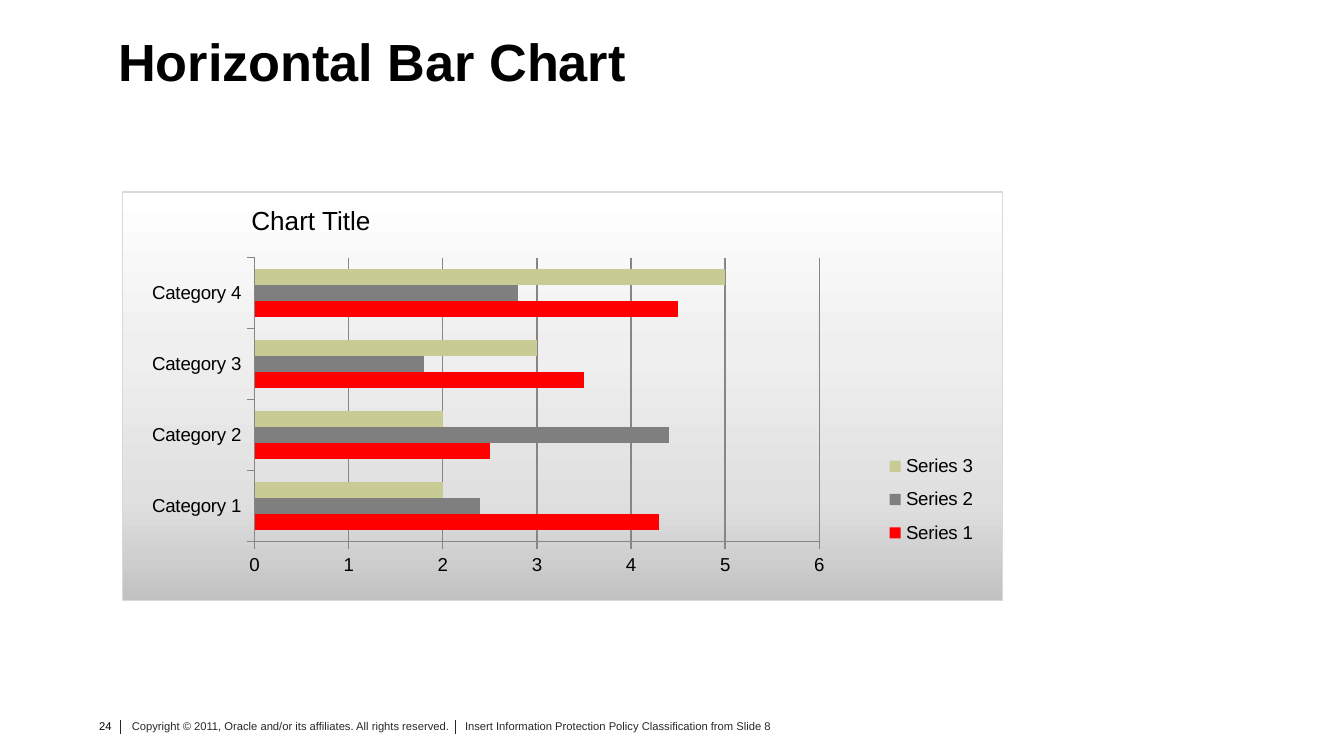
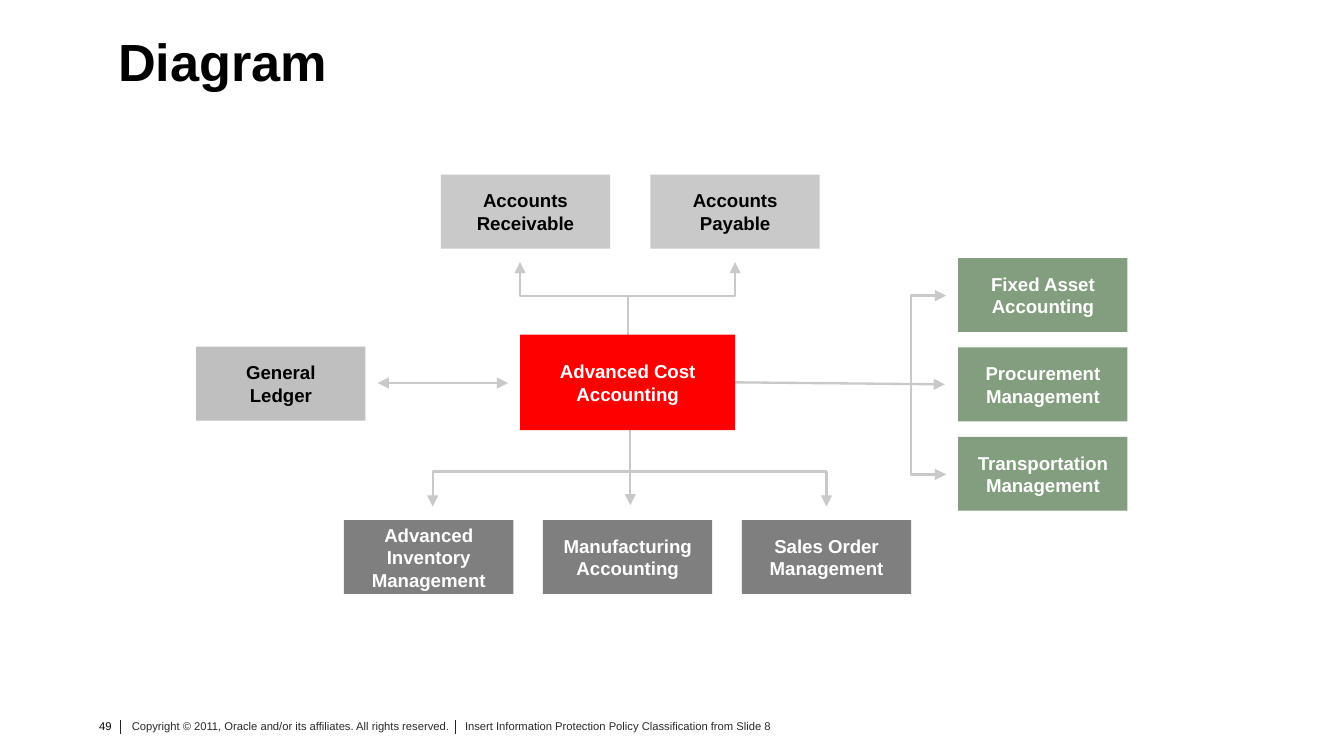
"""Builds a bar chart slide and an accounting diagram slide."""
from copy import deepcopy
from dataclasses import dataclass

from lxml import etree
from pptx import Presentation
from pptx.chart.data import CategoryChartData
from pptx.dml.color import RGBColor
from pptx.enum.chart import XL_CHART_TYPE, XL_LEGEND_POSITION, XL_TICK_MARK
from pptx.enum.shapes import MSO_CONNECTOR, MSO_SHAPE
from pptx.enum.text import MSO_ANCHOR, MSO_AUTO_SIZE, PP_ALIGN
from pptx.oxml import parse_xml
from pptx.oxml.ns import nsdecls, qn
from pptx.util import Inches, Pt

LEFT, CENTER, RIGHT = PP_ALIGN.LEFT, PP_ALIGN.CENTER, PP_ALIGN.RIGHT
TOP, MIDDLE = MSO_ANCHOR.TOP, MSO_ANCHOR.MIDDLE
NO_FIT = MSO_AUTO_SIZE.NONE
RECT, STRAIGHT = MSO_SHAPE.RECTANGLE, MSO_CONNECTOR.STRAIGHT
BAR_CLUSTERED = XL_CHART_TYPE.BAR_CLUSTERED
LEGEND_RIGHT = XL_LEGEND_POSITION.RIGHT
TICK_OUT = XL_TICK_MARK.OUTSIDE

BLACK = RGBColor(0x00, 0x00, 0x00)
WHITE = RGBColor(0xFF, 0xFF, 0xFF)
RED = RGBColor(0xFF, 0x00, 0x00)
GRAY = RGBColor(0x7F, 0x7F, 0x7F)
AXIS_GRAY = RGBColor(0x86, 0x86, 0x86)
SILVER = RGBColor(0xBF, 0xBF, 0xBF)
LIGHT_GRAY = RGBColor(0xC9, 0xC9, 0xC9)
PANEL_EDGE = RGBColor(0xD9, 0xD9, 0xD9)
GREEN = RGBColor(0x82, 0x9E, 0x7E)
KHAKI = RGBColor(0xC8, 0xCC, 0x94)
FOOTER_INK = RGBColor(0x29, 0x29, 0x29)
FOOTER_RULE = RGBColor(0x26, 0x26, 0x26)
PANEL_STOPS = (
    (0, RGBColor(0xC2, 0xC2, 0xC2)),
    (0.25, RGBColor(0xE0, 0xE0, 0xE0)),
    (0.61, RGBColor(0xEF, 0xEF, 0xEF)),
    (1, WHITE),
)
FONT = "Arial"
BOX_W, BOX_H = 1.26, 0.55

CATEGORIES = [f"Category {n}" for n in range(1, 5)]
SERIES = (
    ("Series 1", (4.3, 2.5, 3.5, 4.5), RED),
    ("Series 2", (2.4, 4.4, 1.8, 2.8), GRAY),
    ("Series 3", (2, 2, 3, 5), KHAKI),
)


@dataclass(frozen=True)
class Label:
    """Text with its place and style."""
    text: str
    left: float
    top: float
    width: float
    height: float
    size: float
    color: RGBColor = BLACK
    align: PP_ALIGN = LEFT
    inset: tuple[float, float] = (0.05, 0.05)


@dataclass(frozen=True)
class Box:
    """A filled rectangle of the diagram."""
    text: str
    left: float
    top: float
    fill: RGBColor
    ink: RGBColor
    width: float = BOX_W
    height: float = BOX_H


@dataclass(frozen=True)
class Line:
    """A straight line or a bent one, with optional arrowheads."""
    points: tuple[tuple[float, float], ...]
    color: RGBColor = LIGHT_GRAY
    width: float = 1.25
    head: bool = False
    tail: bool = True


def spaced(first: float, last: float, count: int) -> list[float]:
    """Return evenly spaced positions."""
    return [first + (last - first) * i / (count - 1) for i in range(count)]


def style(p, size: float, color: RGBColor, align: PP_ALIGN, bold: bool = False) -> None:
    """Format one paragraph."""
    p.alignment = align
    p.font.name, p.font.size, p.font.bold = FONT, Pt(size), bold
    p.font.color.rgb = color


def add_label(s, label: Label) -> None:
    """Add a text box."""
    box = s.shapes.add_textbox(Inches(label.left), Inches(label.top),
                               Inches(label.width), Inches(label.height))
    tf = box.text_frame
    tf.word_wrap, tf.vertical_anchor = True, TOP
    tf.margin_left = tf.margin_right = Inches(label.inset[0])
    tf.margin_top = tf.margin_bottom = Inches(label.inset[1])
    tf.text = label.text
    style(tf.paragraphs[0], label.size, label.color, label.align)


def add_line(s, line: Line):
    """Add a connector for two points or an open freeform for more."""
    points = [(Inches(x), Inches(y)) for x, y in line.points]
    if len(points) == 2:
        shape = s.shapes.add_connector(STRAIGHT, *points[0], *points[1])
    else:
        builder = s.shapes.build_freeform(*points[0])
        builder.add_line_segments(points[1:], close=False)
        shape = builder.convert_to_shape()
        shape.fill.background()
    shape.line.color.rgb = line.color
    shape.line.width = Pt(line.width)
    ln = shape.line._get_or_add_ln()
    for tag, wanted in (("a:headEnd", line.head), ("a:tailEnd", line.tail)):
        if wanted:
            etree.SubElement(ln, qn(tag), type="triangle")
    etree.SubElement(shape._element.spPr, qn("a:effectLst"))
    return shape


def add_box(s, box: Box):
    """Add a diagram rectangle with centred bold text."""
    shape = s.shapes.add_shape(RECT, Inches(box.left), Inches(box.top),
                               Inches(box.width), Inches(box.height))
    shape.shadow.inherit = False
    shape.fill.solid()
    shape.fill.fore_color.rgb = box.fill
    shape.line.fill.background()
    tf = shape.text_frame
    tf.word_wrap, tf.vertical_anchor = True, MIDDLE
    tf.text = box.text
    for p in tf.paragraphs:
        style(p, 10, box.ink, CENTER, bold=True)
    return shape


def add_slide(prs, title: str, number: int):
    """Add a slide with its title and footer."""
    s = prs.slides.add_slide(prs.slide_layouts[5])
    sp = s.shapes.title
    sp.left, sp.top, sp.width, sp.height = (
        Inches(v) for v in (0.88, 0.19, 8.69, 0.58))
    tf = sp.text_frame
    tf.margin_left = tf.margin_right = tf.margin_top = tf.margin_bottom = 0
    tf.auto_size, tf.word_wrap, tf.vertical_anchor = NO_FIT, True, MIDDLE
    tf.text = title
    p = tf.paragraphs[0]
    p.line_spacing = 0.9
    style(p, 28, BLACK, LEFT, bold=True)

    for text, left, width, color, align in (
        (str(number), 0.65, 0.22, BLACK, RIGHT),
        ("Copyright © 2011, Oracle and/or its affiliates. All rights reserved.",
         0.94, 2.48, FOOTER_INK, LEFT),
        ("Insert Information Protection Policy Classification from Slide 8",
         3.42, 2.47, FOOTER_INK, LEFT),
    ):
        add_label(s, Label(text, left, 5.33, width, 0.24, 6, color, align, (0.04, 0.02)))
    for x in (0.9, 3.39):
        add_line(s, Line(((x, 5.36), (x, 5.46)), FOOTER_RULE, 0.5, tail=False))
    return s


def manual_layout(x: float, y: float, w: float, h: float, inner: bool = False):
    """Return a chart layout element in fractions of the chart."""
    target = '<c:layoutTarget val="inner"/>' if inner else ""
    return parse_xml(
        f'<c:layout {nsdecls("c")}><c:manualLayout>{target}'
        '<c:xMode val="edge"/><c:yMode val="edge"/>'
        f'<c:x val="{x}"/><c:y val="{y}"/><c:w val="{w}"/><c:h val="{h}"/>'
        '</c:manualLayout></c:layout>')


def add_panel(s) -> None:
    """Add the shaded panel behind the chart."""
    panel = s.shapes.add_shape(RECT, Inches(0.91), Inches(1.43), Inches(6.55), Inches(3.04))
    panel.shadow.inherit = False
    panel.fill.gradient()
    panel.fill.gradient_angle = 90
    stops = panel._element.spPr.find(".//" + qn("a:gsLst"))
    for stop in list(stops):
        stops.append(deepcopy(stop))
    for stop, (position, color) in zip(panel.fill.gradient_stops, PANEL_STOPS):
        stop.position = position
        stop.color.rgb = color
    panel.line.color.rgb = PANEL_EDGE
    panel.line.width = Pt(0.75)


def add_bar_chart(s) -> None:
    """Add the clustered bar chart."""
    data = CategoryChartData()
    data.categories = CATEGORIES
    for name, values, _ in SERIES:
        data.add_series(name, values)
    chart = s.shapes.add_chart(BAR_CLUSTERED, Inches(0.96), Inches(1.76),
                               Inches(6.67), Inches(2.61), data).chart
    chart.has_title = False
    chart.font.name, chart.font.size = FONT, Pt(10)
    chart.font.color.rgb = BLACK

    plot = chart.plots[0]
    plot.gap_width, plot.vary_by_categories = 150, False
    for series, (_, _, color) in zip(plot.series, SERIES):
        series.invert_if_negative = False
        series.format.fill.solid()
        series.format.fill.fore_color.rgb = color

    values = chart.value_axis
    values.minimum_scale, values.maximum_scale, values.major_unit = 0, 6, 1
    values.has_major_gridlines = True
    for axis in (values, chart.category_axis):
        axis.major_tick_mark = TICK_OUT
    for part in (values, chart.category_axis, values.major_gridlines):
        part.format.line.color.rgb = AXIS_GRAY
        part.format.line.width = Pt(0.75)

    chart.has_legend = True
    chart.legend.position = LEGEND_RIGHT
    chart.legend.include_in_layout = False
    for parent, index, layout in (
        (chart._chartSpace.chart.plotArea, 0, manual_layout(0.14, 0.06, 0.63, 0.81, True)),
        (chart.legend._element, 1, manual_layout(0.83, 0.59, 0.13, 0.32)),
    ):
        for old in parent.findall(qn("c:layout")):
            parent.remove(old)
        parent.insert(index, layout)


def build_chart_slide(prs) -> None:
    """Build the bar chart slide."""
    s = add_slide(prs, "Horizontal Bar Chart", 24)
    add_panel(s)
    add_label(s, Label("Chart Title", 1.82, 1.47, 1.64, 0.34, 14))
    add_bar_chart(s)


def build_diagram_slide(prs) -> None:
    """Build the accounting diagram slide."""
    s = add_slide(prs, "Diagram", 49)
    lines = [
        Line(((2.81, 2.85), (3.78, 2.85)), width=1.5, head=True),
        Line(((4.69, 3.13), (4.69, 3.76))),
        Line(((4.67, 2.2), (4.67, 2.58)), width=1, tail=False),
    ]
    lines += [Line(((4.69, 3.51), (x, 3.51), (x, 3.77))) for x in (3.22, 6.15)]
    lines += [Line(((4.67, 2.2), (x, 2.2), (x, 1.95))) for x in (3.87, 5.47)]
    lines += [Line(((6.78, 2.86), (6.78, y), (7.04, y))) for y in (2.2, 3.53)]
    for line in lines:
        add_line(s, line)

    above = ("Accounts\nReceivable", "Accounts Payable")
    below = ("Advanced\nInventory\nManagement", "Manufacturing\nAccounting",
             "Sales Order\nManagement")
    beside = ("Fixed Asset\nAccounting", "Procurement\nManagement",
              "Transportation\nManagement")
    boxes = [Box("General\nLedger", 1.46, 2.58, SILVER, BLACK)]
    boxes += [Box(t, x, 1.3, LIGHT_GRAY, BLACK) for t, x in zip(above, (3.28, 4.84))]
    boxes += [Box(t, x, 3.87, GRAY, WHITE) for t, x in zip(below, spaced(2.56, 5.52, 3))]
    boxes += [Box(t, 7.13, y, GREEN, WHITE) for t, y in zip(beside, spaced(1.92, 3.25, 3))]
    for box in boxes:
        add_box(s, box)

    hub = add_box(s, Box("Advanced Cost Accounting", 3.87, 2.49, RED, WHITE, 1.6, 0.71))
    add_line(s, Line(((5.47, 2.85), (7.03, 2.86)))).begin_connect(hub, 3)


def main() -> None:
    """Build and save the presentation."""
    prs = Presentation()
    prs.slide_width = Inches(10)
    prs.slide_height = prs.slide_width * 9 // 16
    build_chart_slide(prs)
    build_diagram_slide(prs)
    prs.save("out.pptx")


if __name__ == "__main__":
    main()
